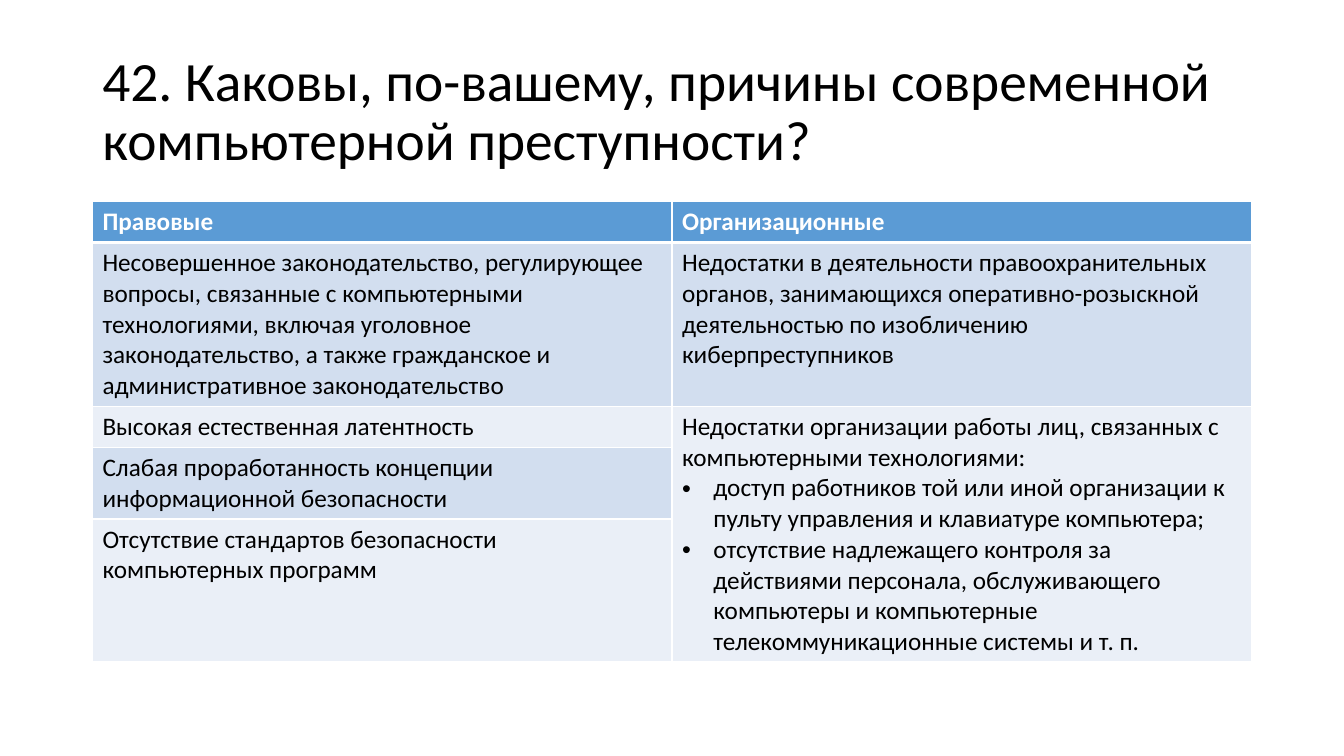
"""Build a slide with a table of the causes of computer crime."""
from pptx import Presentation
from pptx.dml.color import RGBColor
from pptx.enum.text import MSO_ANCHOR
from pptx.oxml.ns import qn
from pptx.util import Cm, Pt
from lxml.etree import SubElement

BLACK = RGBColor(0x00, 0x00, 0x00)
WHITE = RGBColor(0xFF, 0xFF, 0xFF)
HEADER_BLUE = RGBColor(0x5B, 0x9B, 0xD5)
BAND_DARK = RGBColor(0xD2, 0xDE, 0xEF)
BAND_LIGHT = RGBColor(0xEA, 0xEF, 0xF7)

LEFT, WIDTH = Cm(2.33), Cm(29.21)
BULLET_INDENT = Cm(0.79)
ROW_HEIGHTS = [1.03, 4.13, 1.03, 1.81, 3.6]
CAUSES = [
    [["Правовые"], ["Организационные"]],
    [["Несовершенное законодательство, регулирующее вопросы, связанные с "
      "компьютерными технологиями, включая уголовное законодательство, "
      "а также гражданское и административное законодательство"],
     ["Недостатки в деятельности правоохранительных органов, занимающихся "
      "оперативно-розыскной деятельностью по изобличению киберпреступников"]],
    [["Высокая естественная латентность"],
     ["Недостатки организации работы лиц, связанных с компьютерными технологиями:",
      "доступ работников той или иной организации к пульту управления "
      "и клавиатуре компьютера;",
      "отсутствие надлежащего контроля за действиями персонала, обслуживающего "
      "компьютеры и компьютерные телекоммуникационные системы и т. п."]],
    [["Слабая проработанность концепции информационной безопасности"], []],
    [["Отсутствие стандартов безопасности компьютерных программ"], []],
]


def add_run(paragraph, text, size, color, bold=False):
    run = paragraph.add_run()
    run.text = text
    run.font.name = "Calibri"
    run.font.size = Pt(size)
    run.font.color.rgb = color
    run.font.bold = bold


def add_border(cell, side, width):
    line = SubElement(cell._tc.get_or_add_tcPr(), qn(f"a:{side}"), w=str(Pt(width)))
    SubElement(SubElement(line, qn("a:solidFill")), qn("a:srgbClr"), val=str(WHITE))


deck = Presentation()
deck.slide_width, deck.slide_height = Cm(33.87), Cm(19.05)
slide = deck.slides.add_slide(deck.slide_layouts[6])

title = slide.shapes.add_textbox(LEFT, Cm(1.01), WIDTH, Cm(3.68)).text_frame
title.word_wrap = True
title.vertical_anchor = MSO_ANCHOR.MIDDLE
question = title.paragraphs[0]
question.line_spacing = 0.9
add_run(question, "42. Каковы, по-вашему, причины современной компьютерной преступности?",
        39.6, BLACK)

causes = slide.shapes.add_table(len(CAUSES), 2, LEFT, Cm(5.08), WIDTH,
                                Cm(sum(ROW_HEIGHTS))).table
for row, height in zip(causes.rows, ROW_HEIGHTS):
    row.height = Cm(height)
causes.cell(2, 1).merge(causes.cell(4, 1))

for row_index, row_texts in enumerate(CAUSES):
    is_header = row_index == 0
    band = HEADER_BLUE if is_header else BAND_DARK if row_index % 2 else BAND_LIGHT
    for column_index, texts in enumerate(row_texts):
        cell = causes.cell(row_index, column_index)
        for side in ("lnL", "lnR", "lnT", "lnB"):
            header_edge = (row_index, side) in ((0, "lnB"), (1, "lnT"))
            add_border(cell, side, 3 if header_edge else 1)
        cell.fill.solid()
        cell.fill.fore_color.rgb = band
        for text_index, text in enumerate(texts):
            frame = cell.text_frame
            paragraph = frame.add_paragraph() if text_index else frame.paragraphs[0]
            if text_index:
                properties = paragraph._p.get_or_add_pPr()
                properties.set("marL", str(BULLET_INDENT))
                properties.set("indent", str(-BULLET_INDENT))
                SubElement(properties, qn("a:buFont"), typeface="Arial")
                SubElement(properties, qn("a:buChar"), char="•")
            add_run(paragraph, text, 18, WHITE if is_header else BLACK, is_header)

deck.save("out.pptx")
